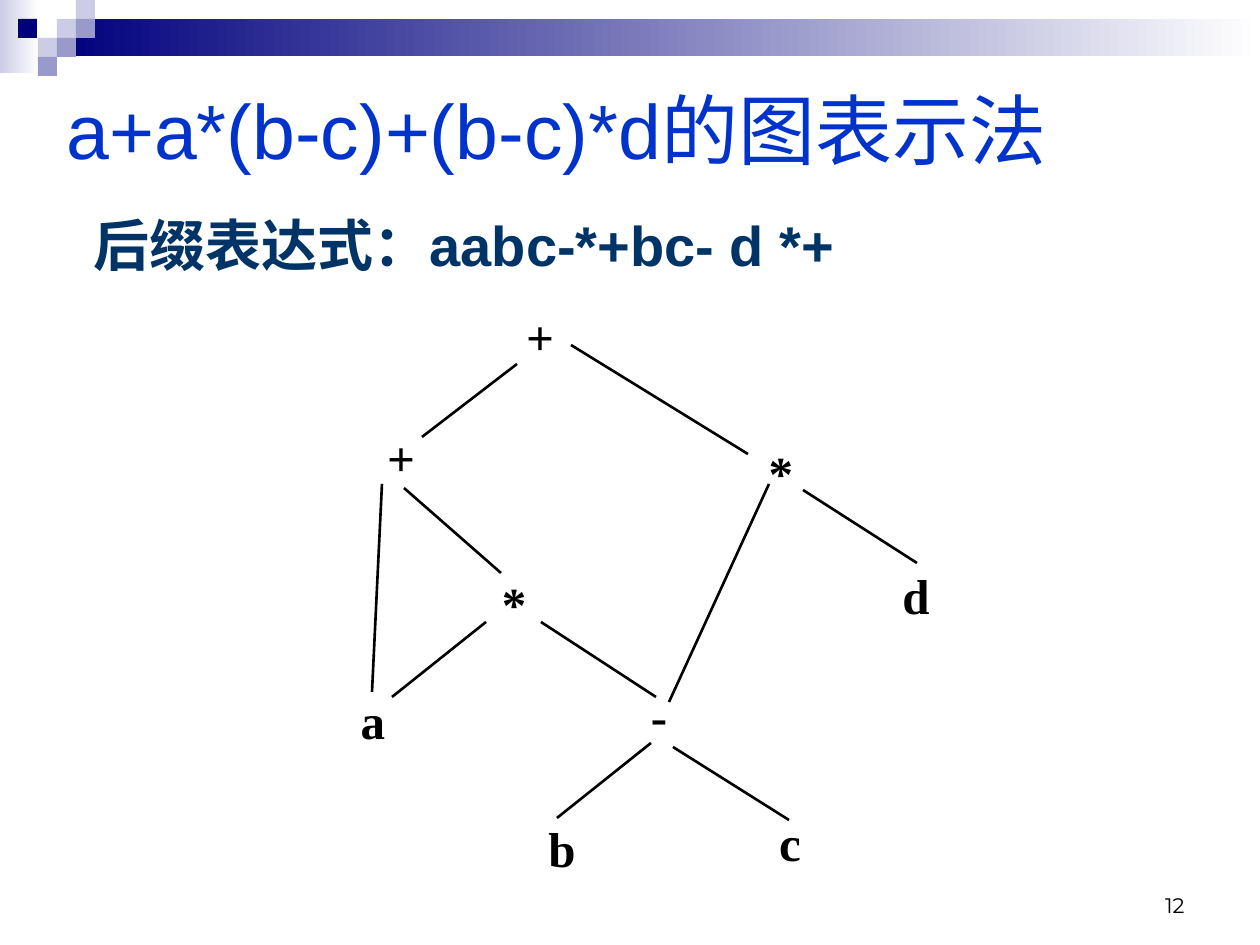
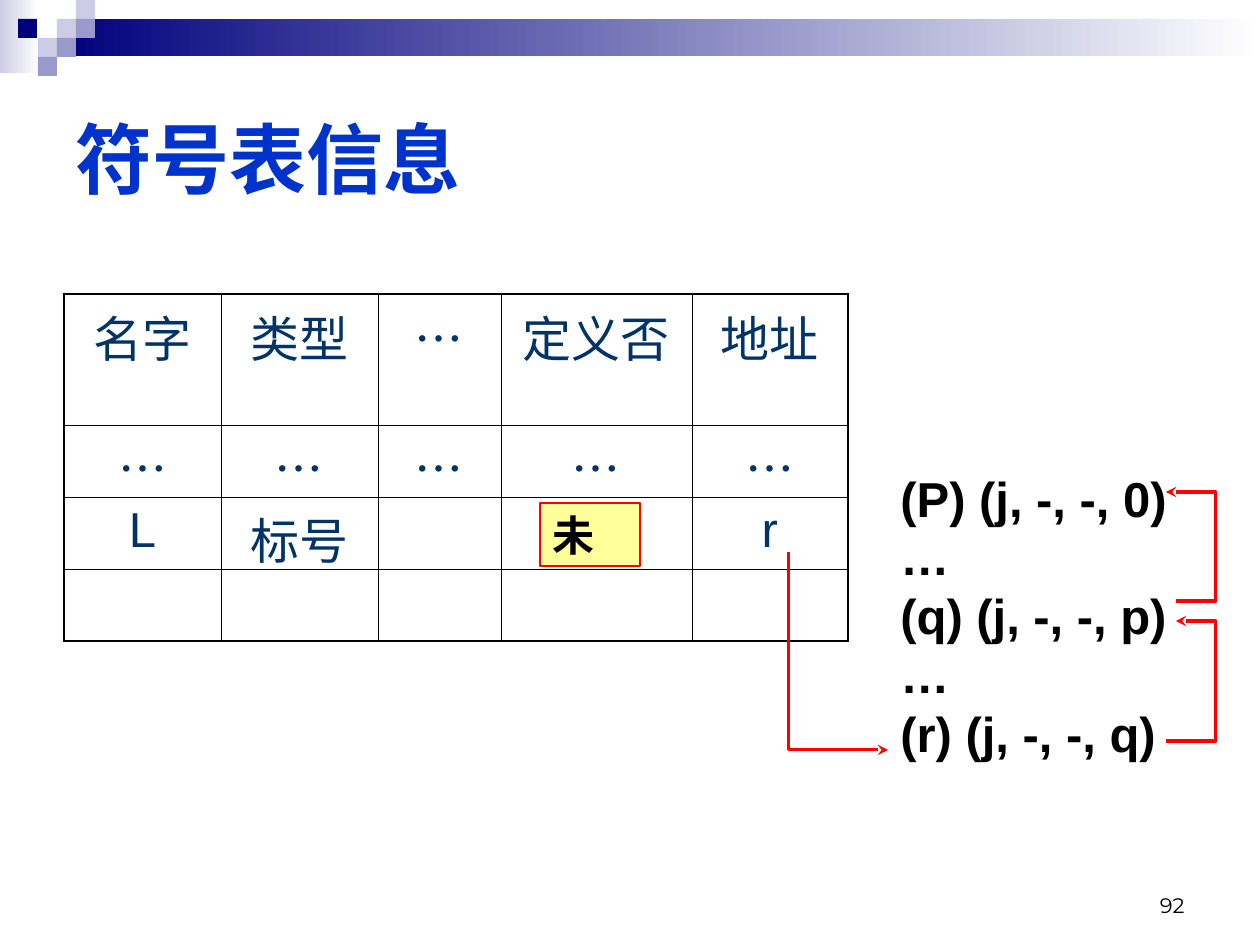
from itertools import pairwise

from lxml.etree import SubElement as Sub
from pptx import Presentation
from pptx.dml.color import RGBColor as RGB
from pptx.enum.shapes import MSO_CONNECTOR as CON
from pptx.enum.shapes import MSO_SHAPE as SHAPE
from pptx.enum.text import MSO_ANCHOR as ANCHOR
from pptx.enum.text import PP_ALIGN as ALIGN
from pptx.oxml.ns import qn
from pptx.util import Emu, Pt

INK = {
    "title": "0033CC", "text": "003366", "black": "000000", "white": "FFFFFF",
    "navy": "00007D", "mid": "9999CC", "pale": "CCCCE6",
    "red": "FF0000", "note": "FFFF99",
}
SANS, SERIF, CJK = "Arial", "Times New Roman", "Noto Sans CJK SC"

# left, top, colour of the small squares in the header
TILES = [
    (57, 19, "pale"), (76, 0, "pale"), (76, 19, "mid"), (38, 38, "pale"),
    (18, 19, "navy"), (57, 38, "mid"), (38, 57, "mid"),
]

# left, top of each label
NODES = [
    ("+", 472, 294), ("+", 333, 415), ("*", 713, 430), ("*", 446, 561),
    ("-", 591, 673), ("a", 305, 678), ("b", 494, 806), ("c", 722, 800),
    ("d", 848, 553),
]
NODE_W, NODE_H = 136, 84

EDGES = [
    (517, 364, 422, 437), (571, 345, 748, 454), (382, 484, 372, 692),
    (404, 488, 501, 573), (486, 622, 392, 697), (541, 622, 656, 697),
    (769, 484, 669, 702), (803, 490, 917, 563), (651, 743, 557, 818),
    (673, 747, 789, 820),
]

COLS = [157, 157, 123, 191, 156]
ROWS = [131, 72, 72, 72]
CELLS = [
    ["名字", "类型", "…", "定义否", "地址"],
    ["…"] * 5,
    ["L", "标号", "", "", "r"],
    [""] * 5,
]

CODE = ["(P) (j, -, -, 0)", "…", "(q) (j, -, -, p)", "…", "(r) (j, -, -, q)"]
ARROWS = [
    [(789, 552), (789, 750), (888, 750)],
    [(1166, 741), (1216, 741), (1216, 621), (1176, 621)],
    [(1176, 601), (1216, 601), (1216, 492), (1166, 492)],
]


def px(num):
    return Emu(round(num * 914400 / 126))


def rgb(name):
    return RGB.from_string(INK[name])


def write(frame, text, size=28, font=SANS, ink="black", bold=False,
          align=ALIGN.LEFT, anchor=ANCHOR.TOP, wrap=True, before=0):
    """Fill a text frame, one paragraph for each line of text."""
    frame.word_wrap = wrap
    frame.vertical_anchor = anchor
    for i, line in enumerate(text.split("\n")):
        para = frame.paragraphs[0] if i == 0 else frame.add_paragraph()
        para.alignment = align
        if before:
            para.space_before = Pt(before)
        run = para.add_run()
        run.text = line
        run.font.size, run.font.bold, run.font.name = Pt(size), bold, font
        run.font.color.rgb = rgb(ink)
        Sub(run.font._element, qn("a:ea"), typeface=CJK)


def label(slide, text, x, y, w, h, **style):
    box = slide.shapes.add_textbox(px(x), px(y), px(w), px(h))
    write(box.text_frame, text, **style)


def rect(slide, x, y, w, h, ink, fade=False):
    """Draw a plain block; fade runs it to white at the right."""
    box = slide.shapes.add_shape(SHAPE.RECTANGLE, px(x), px(y), px(w), px(h))
    box.shadow.inherit = False
    box.line.fill.background()
    if fade:
        box.fill.gradient()
        box.fill.gradient_angle = 0
        for stop, name in zip(box.fill.gradient_stops, (ink, "white")):
            stop.color.rgb = rgb(name)
    else:
        box.fill.solid()
        box.fill.fore_color.rgb = rgb(ink)
    return box


def pen(line, ink, width):
    line.color.rgb = rgb(ink)
    line.width = Pt(width)


def edge(slide, x1, y1, x2, y2):
    line = slide.shapes.add_connector(
        CON.STRAIGHT, px(x1), px(y1), px(x2), px(y2))
    pen(line.line, "black", 1.5)
    Sub(line._element.spPr, qn("a:effectLst"))


def arrow(slide, points):
    """Draw a bent line with a head at its last point."""
    spots = [(px(x), px(y)) for x, y in points]
    path = slide.shapes.build_freeform(*spots[0], scale=1.0)
    path.add_line_segments(spots[1:], close=False)
    bend = path.convert_to_shape()
    bend.shadow.inherit = False
    bend.fill.background()
    pen(bend.line, "red", 1.75)
    Sub(bend.line._get_or_add_ln(), qn("a:tailEnd"), type="stealth")


def frame_cell(cell, outer):
    """Rule the four sides; outer names the sides on the table's rim."""
    props = cell._tc.get_or_add_tcPr()
    for side in "LRTB":
        width = Pt(1.08 if side in outer else 0.45)
        rule = Sub(props, qn(f"a:ln{side}"), w=str(width))
        Sub(Sub(rule, qn("a:solidFill")), qn("a:srgbClr"), val=INK["black"])
    cell.fill.background()


def grid(slide, x, y):
    table = slide.shapes.add_table(
        len(ROWS), len(COLS), px(x), px(y), px(sum(COLS)), px(sum(ROWS))).table
    table.first_row = table.horz_banding = False
    for col, width in zip(table.columns, COLS):
        col.width = px(width)
    for r, (row, high) in enumerate(zip(CELLS, ROWS)):
        table.rows[r].height = px(high)
        for c, text in enumerate(row):
            cell = table.cell(r, c)
            rim = {"L": c == 0, "R": c == len(COLS) - 1,
                   "T": r == 0, "B": r == len(ROWS) - 1}
            frame_cell(cell, [side for side in rim if rim[side]])
            if text:
                write(cell.text_frame, text, ink="text", align=ALIGN.CENTER,
                      font=CJK if text == "…" else SANS, before=7)


def start(deck, title, number, x, y, w, h, bold=False):
    """Add a slide with its header, title and number."""
    slide = deck.slides.add_slide(deck.slide_layouts[6])
    rect(slide, 0, 0, 39, 73, "pale", fade=True)
    rect(slide, 57, 19, 1203, 37, "navy", fade=True)
    for left, top, ink in TILES:
        rect(slide, left, top, 19, 19, ink)
    label(slide, title, x, y, w, h, size=44, ink="title", bold=bold,
          anchor=ANCHOR.MIDDLE)
    label(slide, str(number), 903, 861, 294, 63, size=12, font="Montserrat",
          align=ALIGN.RIGHT, anchor=ANCHOR.BOTTOM)
    return slide


def graph(deck):
    slide = start(deck, "a+a*(b-c)+(b-c)*d的图表示法", 12, 54, 63, 1143, 132)
    for ends in EDGES:
        edge(slide, *ends)
    for text, x, y in NODES:
        label(slide, text, x, y, NODE_W, NODE_H, font=SERIF, bold=True,
              align=ALIGN.CENTER, anchor=ANCHOR.MIDDLE, wrap=False)
    label(slide, "后缀表达式：aabc-*+bc- d *+", 74, 204, 780, 81, size=32,
          ink="text", bold=True, align=ALIGN.CENTER, wrap=False)


def symbols(deck):
    slide = start(deck, "符号表信息", 92, 63, 63, 1134, 189, bold=True)
    grid(slide, 64, 294)
    label(slide, "\n".join(CODE), 888, 462, 372, 365, bold=True)
    for points in ARROWS:
        arrow(slide, points)
    note = rect(slide, 540, 503, 100, 63, "note")
    pen(note.line, "red", 1.5)
    write(note.text_frame, "未", size=24, bold=True)


def main():
    deck = Presentation()
    deck.slide_width, deck.slide_height = px(1260), px(945)
    graph(deck)
    symbols(deck)
    deck.save("out.pptx")


if __name__ == "__main__":
    main()
